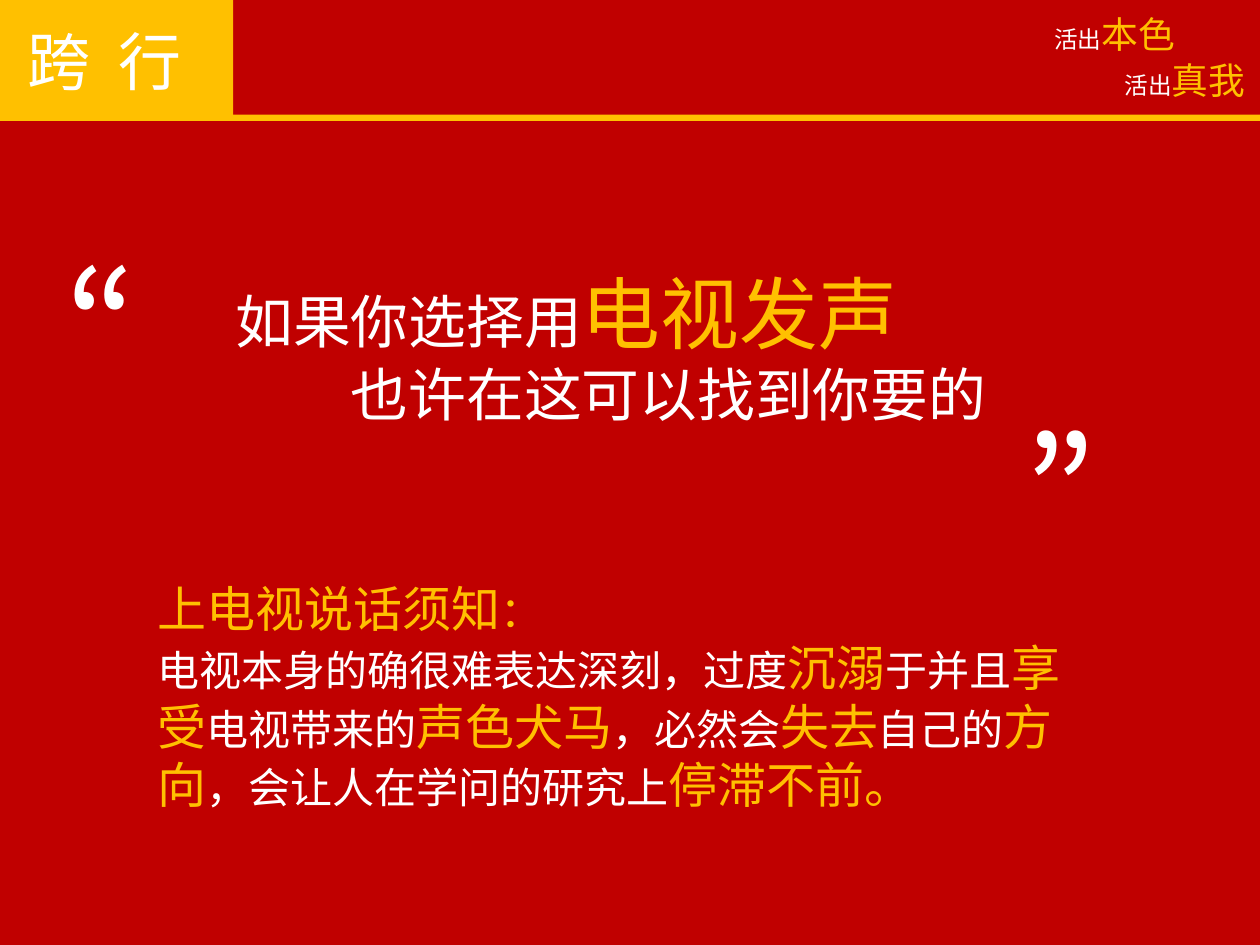
from pptx import Presentation
from pptx.dml.color import RGBColor
from pptx.enum.shapes import MSO_SHAPE
from pptx.enum.text import MSO_ANCHOR, MSO_AUTO_SIZE, PP_ALIGN
from pptx.oxml.ns import qn
from pptx.util import Pt
from lxml.etree import SubElement

RED = RGBColor(0xC0, 0x00, 0x00)
GOLD = RGBColor(0xFF, 0xC0, 0x00)
WHITE = RGBColor(0xFF, 0xFF, 0xFF)
SANS, MONO = "Noto Sans CJK JP", "Courier New"

# Content: each paragraph is a list of (text, size, colour) runs
TITLE = [("跨", 36, WHITE), (" ", 36, WHITE), ("行", 36, WHITE)]
TITLE_GAP = 8  # extra width of the space in the title

SLOGANS = [("本色", 595.44, 2.88), ("真我", 635.76, 29.52)]

QUOTE = [
    [("如果你选择用", 33, WHITE), ("电视发声", 45, GOLD)],
    [("也许在这可以找到你要的", 33, WHITE)],
]
QUOTE_INDENT = 66
QUOTE_MARKS = [("“", 30.24, 128.88), ("”", 578.16, 223.92)]

# Advice alternates plain and stressed wording
ADVICE_HEADING = [("上电视说话须知", 28, GOLD), ("：", 24, GOLD)]
ADVICE = [
    ("电视本身的确很难表达深刻，过度", "沉溺"),
    ("于并且", "享受"),
    ("电视带来的", "声色犬马"),
    ("，必然会", "失去"),
    ("自己的", "方向"),
    ("，会让人在学问的研究上", "停滞不前。"),
]

# Bars: left, top, width, height
BARS = [(0, 65.5, 720, 3.6), (0, 0, 133.2, 66.24)]


def place(shape, left, top, width, height):
    shape.left, shape.top = Pt(left), Pt(top)
    shape.width, shape.height = Pt(width), Pt(height)


def write(shape, paragraphs, font_name=SANS, wrap=True, anchor=MSO_ANCHOR.TOP):
    frame = shape.text_frame
    frame.auto_size = MSO_AUTO_SIZE.NONE
    frame.word_wrap = wrap
    frame.vertical_anchor = anchor
    for index, runs in enumerate(paragraphs):
        paragraph = frame.add_paragraph() if index else frame.paragraphs[0]
        properties = paragraph._p.get_or_add_pPr()
        properties.set("marL", "0")
        properties.set("indent", "0")
        SubElement(properties, qn("a:buNone"))
        paragraph.alignment = PP_ALIGN.LEFT
        paragraph.space_before = Pt(0)
        for text, size, colour in runs:
            run = paragraph.add_run()
            run.text = text
            run.font.size = Pt(size)
            run.font.color.rgb = colour
            run.font.name = font_name
            east_asian = SubElement(run._r.get_or_add_rPr(), qn("a:ea"))
            east_asian.set("typeface", font_name)
    return frame


def add_text(slide, box, paragraphs, wrap=True):
    shape = slide.shapes.add_textbox(*map(Pt, box))
    return write(shape, paragraphs, wrap=wrap)


def main():
    presentation = Presentation()
    presentation.slide_width, presentation.slide_height = Pt(720), Pt(540)
    slide = presentation.slides.add_slide(presentation.slide_layouts[1])
    slide.background.fill.solid()
    slide.background.fill.fore_color.rgb = RED
    title, body = slide.placeholders

    # Header bars, kept behind the title
    for position, box in enumerate(BARS):
        bar = slide.shapes.add_shape(MSO_SHAPE.RECTANGLE, *map(Pt, box))
        bar.shadow.inherit = False
        bar.fill.solid()
        bar.fill.fore_color.rgb = GOLD
        bar.line.fill.background()
        title._element.addprevious(bar._element)

    # Title
    place(title, 8.64, 8.64, 115.92, 51.12)
    frame = write(title, [TITLE], anchor=MSO_ANCHOR.MIDDLE)
    space = frame.paragraphs[0].runs[1]
    space._r.get_or_add_rPr().set("spc", str(TITLE_GAP * 100))

    # Slogans
    for stressed, left, top in SLOGANS:
        runs = [("活出", 13.5, WHITE), (stressed, 21, GOLD)]
        add_text(slide, (left, top, 84.24, 32.4), [runs], wrap=False)

    # Quotation with its marks
    frame = add_text(slide, (127.44, 147.6, 477.36, 101.52), QUOTE)
    frame.paragraphs[1]._p.get_or_add_pPr().set("marL", str(Pt(QUOTE_INDENT)))
    for mark, left, top in QUOTE_MARKS:
        add_text(slide, (left, top, 101.52, 111.6), [[(mark, 86.2, WHITE)]])

    # Advice
    place(body, 82.8, 326.88, 545.76, 143.28)
    advice = [run for plain, stressed in ADVICE
              for run in ((plain, 24, WHITE), (stressed, 28, GOLD))]
    write(body, [ADVICE_HEADING, advice], MONO)

    presentation.save("out.pptx")


if __name__ == "__main__":
    main()
